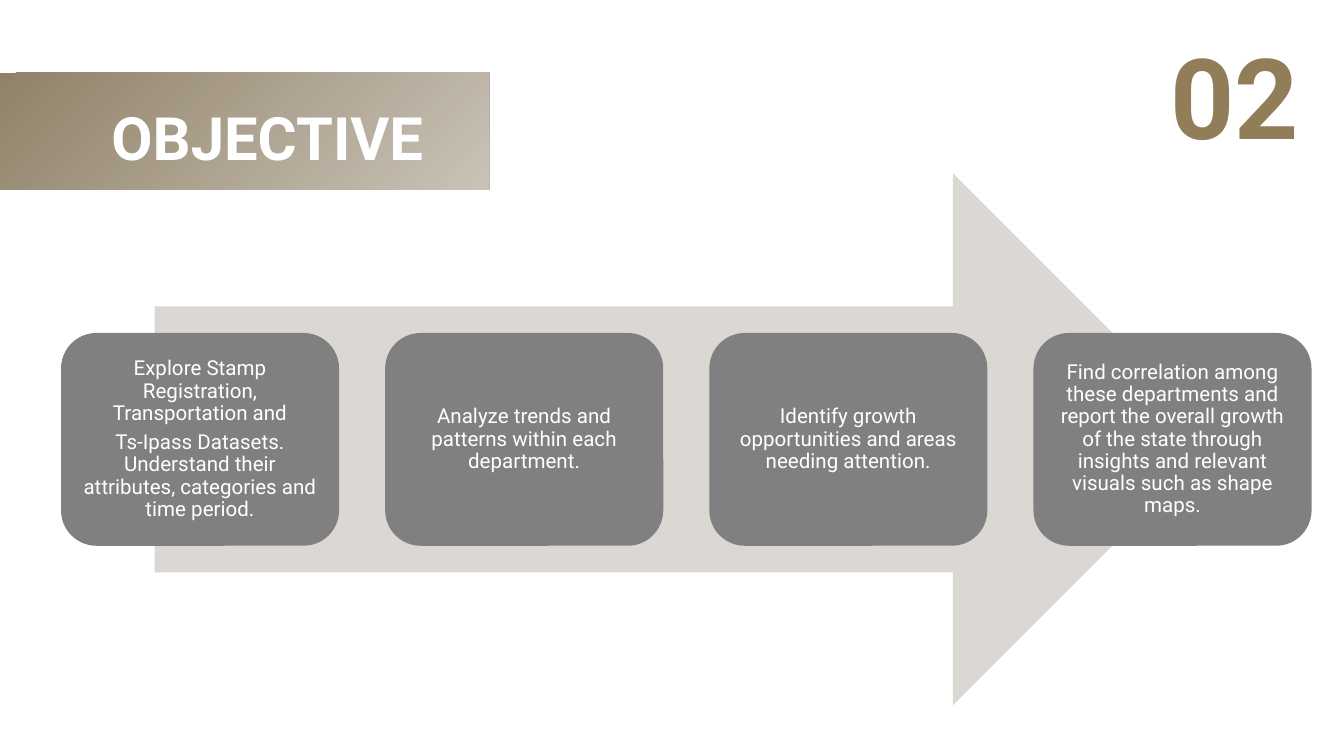
from pptx import Presentation
from pptx.dml.color import RGBColor
from pptx.enum.shapes import MSO_SHAPE
from pptx.enum.text import MSO_ANCHOR, PP_ALIGN
from pptx.util import Pt

RECT = MSO_SHAPE.RECTANGLE
ARROW = MSO_SHAPE.RIGHT_ARROW
ROUNDED = MSO_SHAPE.ROUNDED_RECTANGLE
MIDDLE = MSO_ANCHOR.MIDDLE
LEFT, CENTER, RIGHT = PP_ALIGN.LEFT, PP_ALIGN.CENTER, PP_ALIGN.RIGHT

FONT = "Roboto"
WHITE, GOLD, TAUPE, PALE_TAUPE = "FFFFFF", "927D59", "908269", "C9C2B6"
ARROW_GREY, CARD_GREY = "DBD8D4", "808080"

CARD_LEFT, CARD_TOP, CARD_STEP = 32.7, 178.4, 173.65
CARD_WIDTH, CARD_HEIGHT = 149, 114
OBJECTIVES = [
    ["Explore Stamp Registration, Transportation and",
     "Ts-Ipass Datasets. Understand their attributes, categories and time period."],
    ["Analyze trends and patterns within each department."],
    ["Identify growth opportunities and areas needing attention."],
    ["Find correlation among these departments and report the overall growth "
     "of the state through insights and relevant visuals such as shape maps."],
]


def rgb(value):
    return RGBColor.from_string(value)


def set_attrs(obj, values):
    for name, value in values.items():
        setattr(obj, name, value)


def write(sp, texts, size, color, align, inset, bold=False, para_format=None):
    """Fill a shape or text box with one paragraph per text."""
    tf = sp.text_frame
    margins = {f"margin_{side}": Pt(inset) for side in ("left", "right", "top", "bottom")}
    set_attrs(tf, {"word_wrap": True, "vertical_anchor": MIDDLE, **margins})
    for i, text in enumerate(texts):
        p = tf.paragraphs[0] if i == 0 else tf.add_paragraph()
        set_attrs(p, {"alignment": align, **(para_format or {})})
        r = p.add_run()
        r.text = text
        set_attrs(r.font, {"name": FONT, "size": Pt(size), "bold": bold})
        r.font.color.rgb = rgb(color)


def add_shape(s, kind, box, color):
    sp = s.shapes.add_shape(kind, *map(Pt, box))
    sp.shadow.inherit = False
    sp.line.fill.background()
    sp.fill.solid()
    sp.fill.fore_color.rgb = rgb(color)
    return sp


def add_banner(s, box, start, end):
    sp = add_shape(s, RECT, box, start)
    sp.fill.gradient()
    sp.fill.gradient_angle = 315
    for stop, color in zip(sp.fill.gradient_stops, (start, end)):
        stop.color.rgb = rgb(color)


def add_heading(s, box, text, size, color, align):
    sp = s.shapes.add_textbox(*map(Pt, box))
    write(sp, [text], size, color, align, inset=7.2, bold=True)


def add_card(s, index, texts):
    box = (CARD_LEFT + index * CARD_STEP, CARD_TOP, CARD_WIDTH, CARD_HEIGHT)
    sp = add_shape(s, ROUNDED, box, CARD_GREY)
    write(sp, texts, 11, WHITE, CENTER, inset=3.6,
          para_format={"line_spacing": 0.9, "space_after": Pt(4)})


def main():
    prs = Presentation()
    set_attrs(prs, {"slide_width": Pt(720), "slide_height": Pt(405)})
    s = prs.slides.add_slide(prs.slide_layouts[6])

    add_banner(s, (0, 39, 262, 62.6), TAUPE, PALE_TAUPE)
    add_heading(s, (52.6, 54, 201, 38.2), "OBJECTIVE", 32, WHITE, LEFT)
    add_shape(s, ARROW, (82.8, 92.9, 570.2, 285), ARROW_GREY)
    for i, texts in enumerate(OBJECTIVES):
        add_card(s, i, texts)
    add_heading(s, (566, 28, 136.8, 45.4), "02", 60, GOLD, RIGHT)

    prs.save("out.pptx")


if __name__ == "__main__":
    main()
